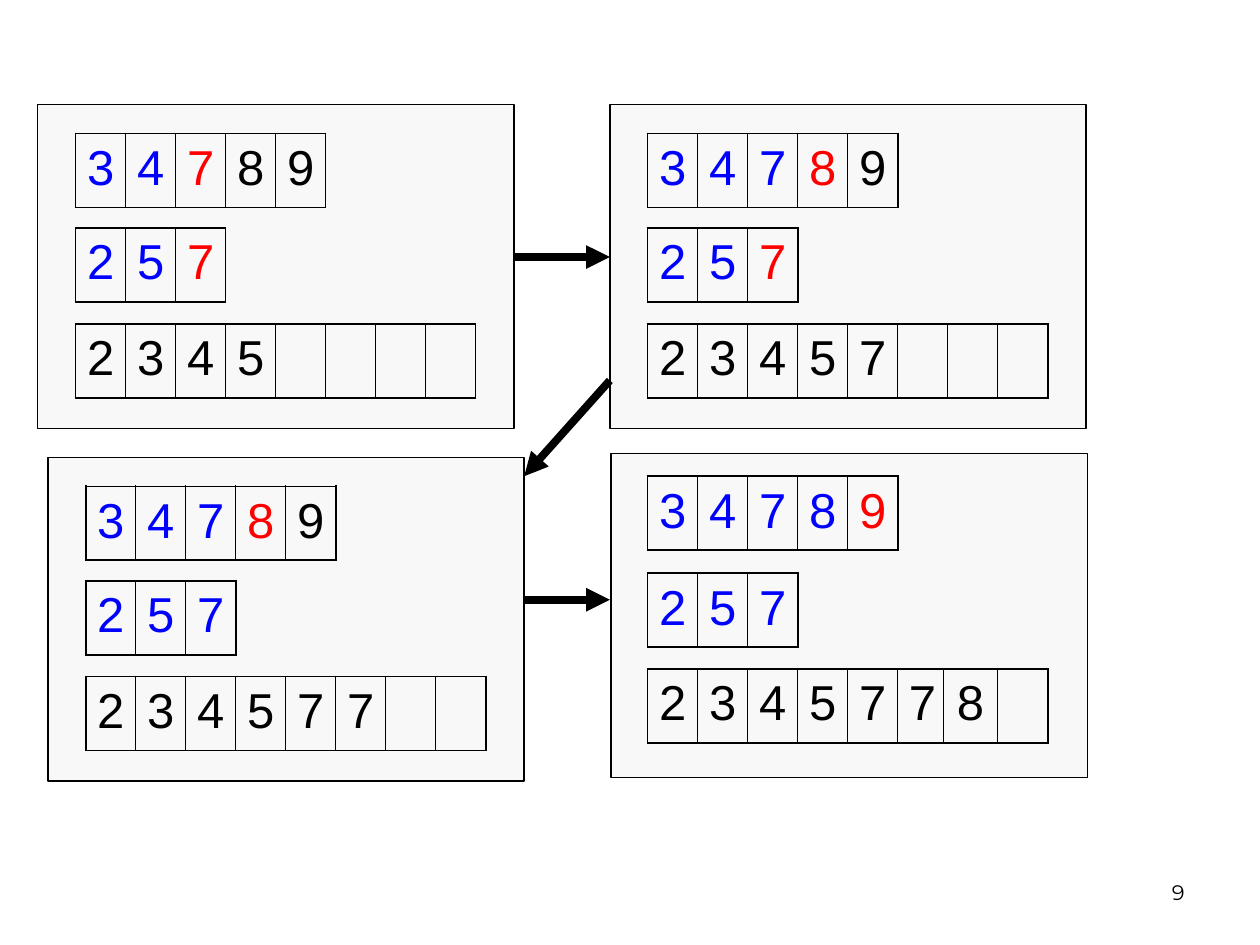
from pptx import Presentation, util as u
from pptx.dml.color import RGBColor
from pptx.enum import shapes, text
from pptx.oxml import parse_xml
from pptx.oxml.ns import nsdecls, qn
from lxml import etree

BLACK = RGBColor(0x00, 0x00, 0x00)
BLUE = RGBColor(0x00, 0x00, 0xFF)
RED = RGBColor(0xFF, 0x00, 0x00)
PANEL_GREY = RGBColor(0xF8, 0xF8, 0xF8)

# The slide is a fine grid of 1000 columns by 750 rows
SLIDE_WIDTH, SLIDE_HEIGHT = u.Inches(10), u.Inches(7.5)
COLUMN, ROW = SLIDE_WIDTH // 1000, SLIDE_HEIGHT // 750
PANEL_WIDTH, PANEL_HEIGHT = 378, 257
CELL_WIDTH = 39.7
OUTER_LINE, INNER_LINE = u.Pt(1.08), u.Pt(0.45)

# Panel left and top, tops of its three lists, number left of the tables,
# index being compared in both inputs, and the merged values so far
STEPS = [
    ((30, 83), (23, 98, 174), 30, (2, 2), "2345"),
    ((484, 83), (23, 98, 174), 30, (3, 2), "23457"),
    ((38, 363), (23, 98, 174), 30, (3, 3), "234577"),
    ((485, 360), (18, 95, 171), 29, (4, 3), "2345778"),
]
ARROWS = [(408, 204, 484, 204), (484, 302, 416, 378), (416, 476, 484, 476)]


def grid(*lengths):
    """Turn alternating column and row counts into slide lengths."""
    return [round(length * (ROW if index % 2 else COLUMN))
            for index, length in enumerate(lengths)]


def set_borders(cell, is_first, is_last):
    sides = (("L", OUTER_LINE if is_first else INNER_LINE),
             ("R", OUTER_LINE if is_last else INNER_LINE),
             ("T", OUTER_LINE), ("B", OUTER_LINE))
    properties = cell._tc.get_or_add_tcPr()
    for index, (side, width) in enumerate(sides):
        properties.insert(index, parse_xml(
            f'<a:ln{side} {nsdecls("a")} w="{int(width)}"><a:solidFill>'
            f'<a:srgbClr val="{BLACK}"/></a:solidFill></a:ln{side}>'))


def add_list(slide, left, top, height, digits, size, colour_of, widths=None):
    """Draw one list of numbers as a table of a single row."""
    widths = widths or [CELL_WIDTH] * size
    frame = slide.shapes.add_table(1, size, *grid(left, top, sum(widths), height))
    table = frame.table
    table.first_row = table.horz_banding = False
    for index, width in enumerate(widths):
        table.columns[index].width = round(width * COLUMN)
        cell = table.cell(0, index)
        cell.fill.background()
        cell.margin_left = cell.margin_right = u.Inches(0.09)
        cell.margin_top = cell.margin_bottom = u.Inches(0.06)
        set_borders(cell, index == 0, index == size - 1)
        if index < len(digits):
            paragraph = cell.text_frame.paragraphs[0]
            paragraph.text = digits[index]
            paragraph.alignment = text.PP_ALIGN.CENTER
            paragraph.font.name = "Arial"
            paragraph.font.size = u.Pt(28)
            paragraph.font.color.rgb = colour_of(index)


def progress_colour(current):
    """Blue for merged values, red for the compared one, black for the rest."""
    return lambda index: BLUE if index < current else RED if index == current else BLACK


def add_panel(slide, box, tops, inset, compared, merged):
    left, top = box
    panel = slide.shapes.add_shape(
        shapes.MSO_SHAPE.RECTANGLE, *grid(left, top, PANEL_WIDTH, PANEL_HEIGHT))
    panel.shadow.inherit = False
    panel.fill.solid()
    panel.fill.fore_color.rgb = PANEL_GREY
    panel.line.color.rgb = BLACK
    panel.line.width = u.Pt(0.75)

    # Merged list, then the two inputs
    first_top, second_top, merged_top = (top + offset for offset in tops)
    left += inset
    widths = [CELL_WIDTH] * 8
    if len(merged) == 7:
        widths[5:7] = [36, 43.4]
    add_list(slide, left, merged_top, 53, merged, 8, lambda index: BLACK, widths)
    add_list(slide, left, first_top, 47, "34789", 5, progress_colour(compared[0]))
    add_list(slide, left, second_top, 53, "257", 3, progress_colour(compared[1]))


def add_arrow(slide, ends):
    arrow = slide.shapes.add_connector(shapes.MSO_CONNECTOR.STRAIGHT, *grid(*ends))
    arrow.line.color.rgb = BLACK
    arrow.line.width = u.Pt(4.5)
    etree.SubElement(arrow.line._get_or_add_ln(), qn("a:tailEnd"), type="triangle")
    etree.SubElement(arrow._element.spPr, qn("a:effectLst"))


def add_page_number(slide, box):
    frame = slide.shapes.add_textbox(*grid(*box)).text_frame
    frame.word_wrap = True
    frame.vertical_anchor = text.MSO_ANCHOR.MIDDLE
    paragraph = frame.paragraphs[0]
    paragraph.text = "9"
    paragraph.alignment = text.PP_ALIGN.RIGHT
    paragraph.font.name = "Montserrat"
    paragraph.font.size = u.Pt(12)
    paragraph.font.color.rgb = BLACK


def main():
    presentation = Presentation()
    presentation.slide_width, presentation.slide_height = SLIDE_WIDTH, SLIDE_HEIGHT
    slide = presentation.slides.add_slide(presentation.slide_layouts[6])
    add_page_number(slide, (717, 683, 233, 50))
    for step in STEPS:
        add_panel(slide, *step)
    for ends in ARROWS:
        add_arrow(slide, ends)
    presentation.save("out.pptx")


if __name__ == "__main__":
    main()
